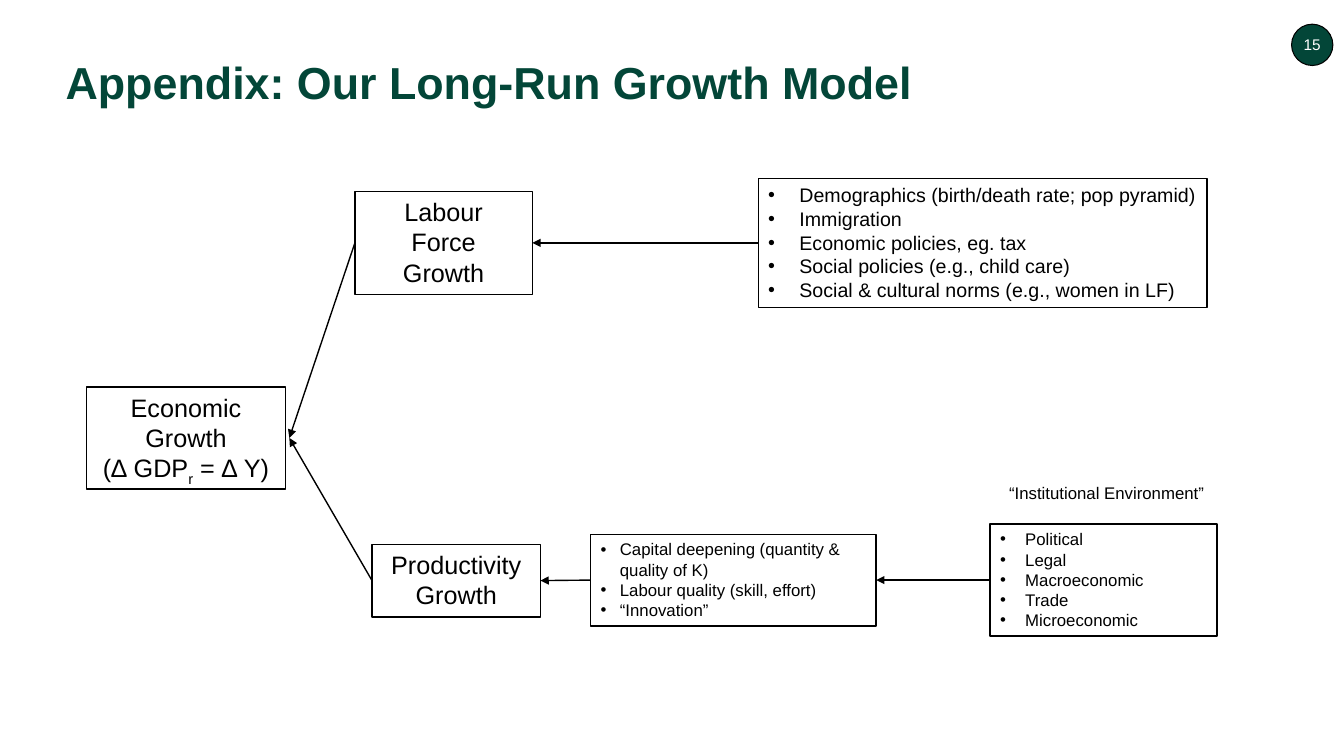
from lxml import etree
from pptx import Presentation
from pptx.dml.color import RGBColor
from pptx.enum.shapes import MSO_CONNECTOR as Link, MSO_SHAPE as Kind
from pptx.enum.text import MSO_ANCHOR as Anchor, MSO_AUTO_SIZE as Auto, PP_ALIGN as Align
from pptx.oxml.ns import qn
from pptx.util import Inches, Pt

GREEN = RGBColor(0x03, 0x46, 0x38)
BLACK = RGBColor(0, 0, 0)
WHITE = RGBColor(255, 255, 255)

TITLE = "Appendix: Our Long-Run Growth Model"
PAGE = "15"
NOTE = "“Institutional Environment”"

# name: (left, top, width, height), size, bullet indent (0 = centred), lines; _x_ is a subscript
BOXES = {
    "labour": ((3.52, 1.9, 1.76, 1.02), 18, 0, ["Labour", "Force", "Growth"]),
    "output": ((3.69, 5.4, 1.67, 0.72), 18, 0, ["Productivity", "Growth"]),
    "people": ((7.52, 1.77, 4.45, 1.28), 14, 0.31, [
        "Demographics (birth/death rate; pop pyramid)",
        "Immigration",
        "Economic policies, eg. tax",
        "Social policies (e.g., child care)",
        "Social & cultural norms (e.g., women in LF)"]),
    "capital": ((5.86, 5.3, 2.83, 0.91), 12, 0.19, [
        "Capital deepening (quantity & quality of K)",
        "Labour quality (skill, effort)",
        "“Innovation”"]),
    "setting": ((9.82, 5.2, 2.25, 1.11), 12, 0.25, [
        "Political", "Legal", "Macroeconomic", "Trade", "Microeconomic"]),
    "growth": ((0.86, 3.84, 1.97, 1.01), 18, 0, [
        "Economic", "Growth", "(∆ GDP_r_ = ∆ Y)"]),
}
ARROWS = [("labour", "growth"), ("output", "growth"), ("people", "labour"),
          ("capital", "output"), ("setting", "capital")]
GAP = 0.04  # space between the growth box and the arrows that meet there


def write(frame, lines, size, color=BLACK, bold=False, align=Align.LEFT, indent=0):
    for i, line in enumerate(lines):
        para = frame.paragraphs[0] if i == 0 else frame.add_paragraph()
        para.alignment = align
        if indent:
            props = para._p.get_or_add_pPr()
            props.set("marL", str(Inches(indent)))
            props.set("indent", str(-Inches(indent)))
            etree.SubElement(props, qn("a:buFont")).set("typeface", "Arial")
            etree.SubElement(props, qn("a:buChar")).set("char", "•")
        for n, part in enumerate(line.split("_")):
            run = para.add_run()
            run.text = part
            font = run.font
            font.name, font.size, font.bold = "Arial", Pt(size), bold
            font.color.rgb = color
            if n % 2:
                run._r.get_or_add_rPr().set("baseline", "-25000")


def add_box(slide, kind, place, width=1, fill=None):
    shape = slide.shapes.add_shape(kind, *map(Inches, place))
    shape.shadow.inherit = False
    if fill is None:
        shape.fill.background()
    else:
        shape.fill.solid()
        shape.fill.fore_color.rgb = fill
    shape.line.color.rgb = BLACK
    shape.line.width = Pt(width)
    return shape


def add_arrow(slide, start, end):
    line = slide.shapes.add_connector(Link.STRAIGHT, *map(Inches, start + end))
    line.line.color.rgb = BLACK
    line.line.width = Pt(1)
    etree.SubElement(line.line._get_or_add_ln(), qn("a:tailEnd")).set("type", "triangle")
    etree.SubElement(line._element.spPr, qn("a:effectLst"))


def main():
    deck = Presentation()
    deck.slide_width, deck.slide_height = Inches(13.33), Inches(7.5)
    slide = deck.slides.add_slide(deck.slide_layouts[5])

    title = slide.shapes.title
    title.left, title.top, title.width, title.height = map(Inches, (0.55, 0.13, 12.18, 0.95))
    frame = title.text_frame
    frame.auto_size = Auto.NONE
    frame.vertical_anchor = Anchor.BOTTOM
    frame.margin_bottom = 0
    write(frame, [TITLE], 32, color=GREEN, bold=True)
    frame.paragraphs[0].line_spacing = 0.9

    badge = add_box(slide, Kind.OVAL, (12.81, 0.24, 0.41, 0.41), width=0.75, fill=GREEN)
    frame = badge.text_frame
    frame.margin_left = frame.margin_right = frame.margin_top = frame.margin_bottom = 0
    frame.word_wrap = False
    write(frame, [PAGE], 11, color=WHITE, align=Align.CENTER)

    for place, size, indent, lines in BOXES.values():
        frame = add_box(slide, Kind.RECTANGLE, place).text_frame
        frame.word_wrap = True
        frame.auto_size = Auto.SHAPE_TO_FIT_TEXT
        frame.vertical_anchor = Anchor.TOP
        align = Align.LEFT if indent else Align.CENTER
        write(frame, lines, size, align=align, indent=indent)

    for source, target in ARROWS:
        left, top, _, height = BOXES[source][0]
        start = (left, top + height / 2)
        left, top, width, height = BOXES[target][0]
        gap = GAP if target == "growth" else 0
        end = (left + width + gap, top + height / 2)
        add_arrow(slide, start, end)

    note = slide.shapes.add_textbox(*map(Inches, (9.91, 4.74, 2.15, 0.3)))
    note.text_frame.word_wrap = False
    note.text_frame.auto_size = Auto.SHAPE_TO_FIT_TEXT
    write(note.text_frame, [NOTE], 12)

    deck.save("out.pptx")


if __name__ == "__main__":
    main()
